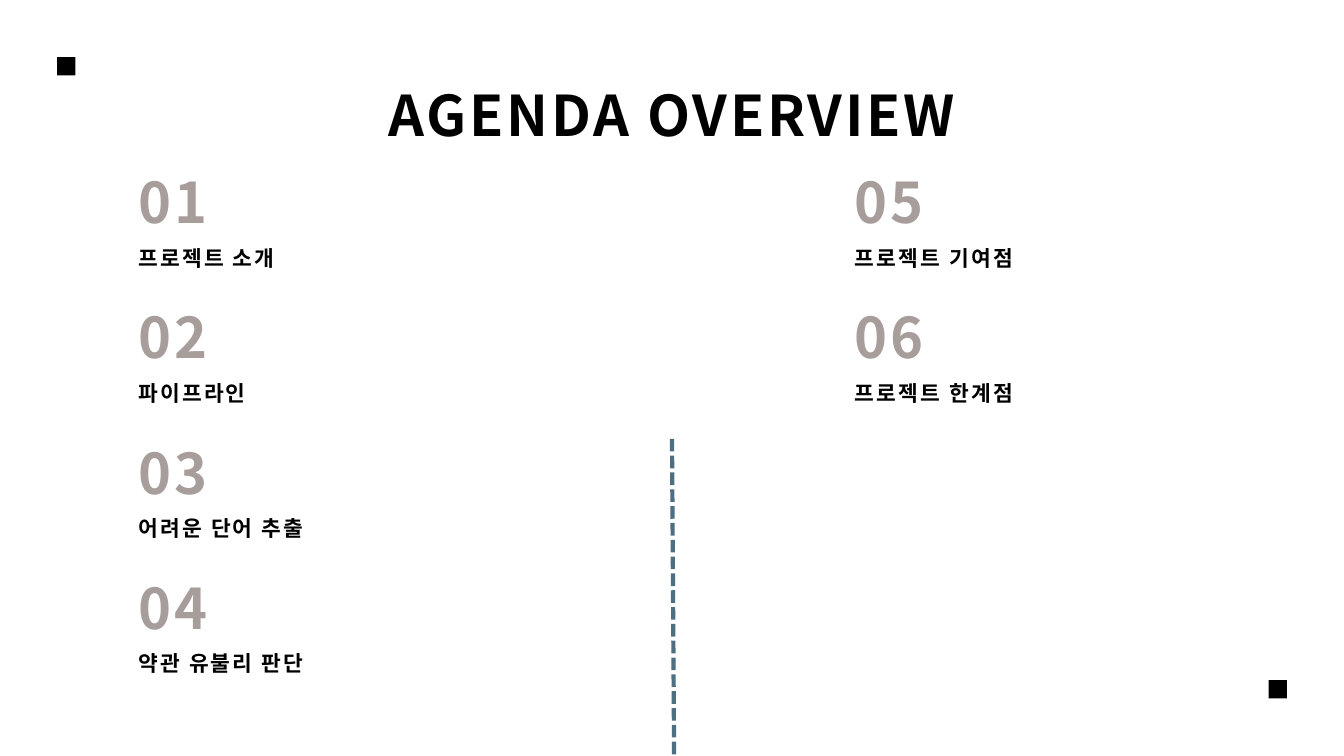
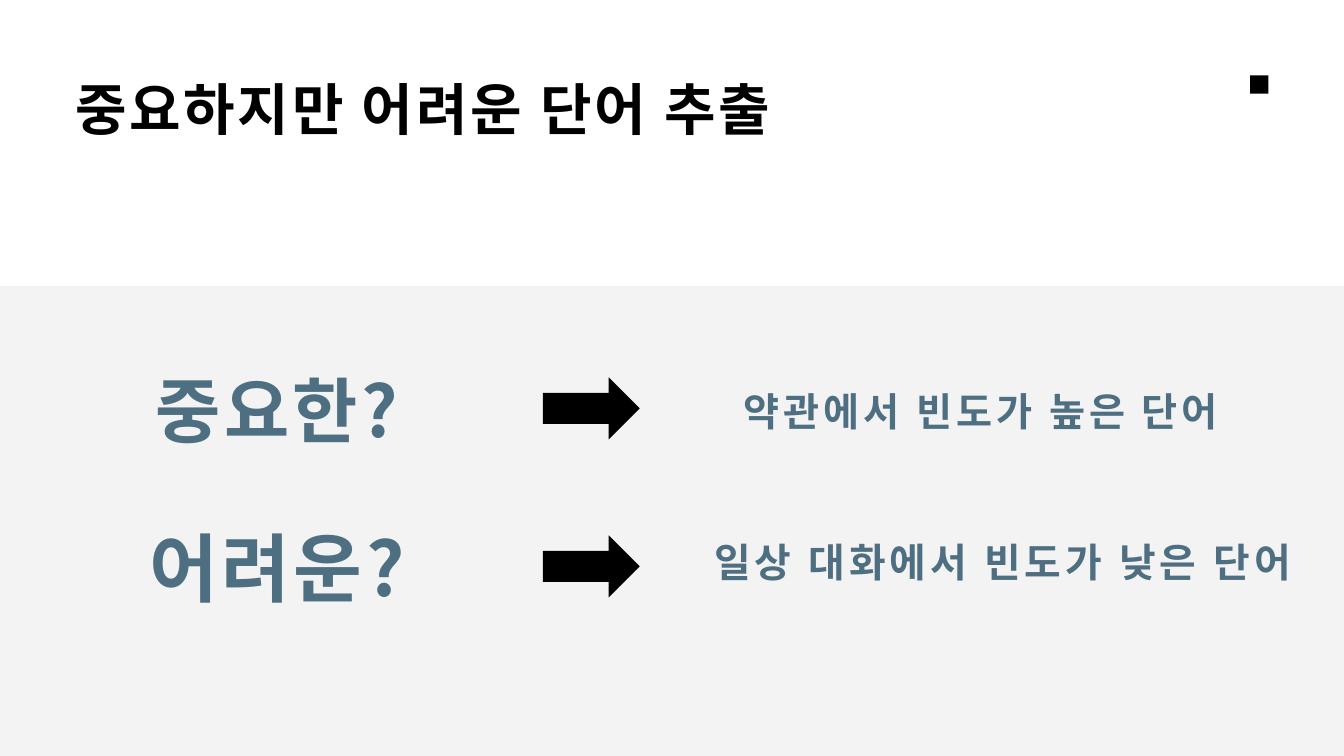
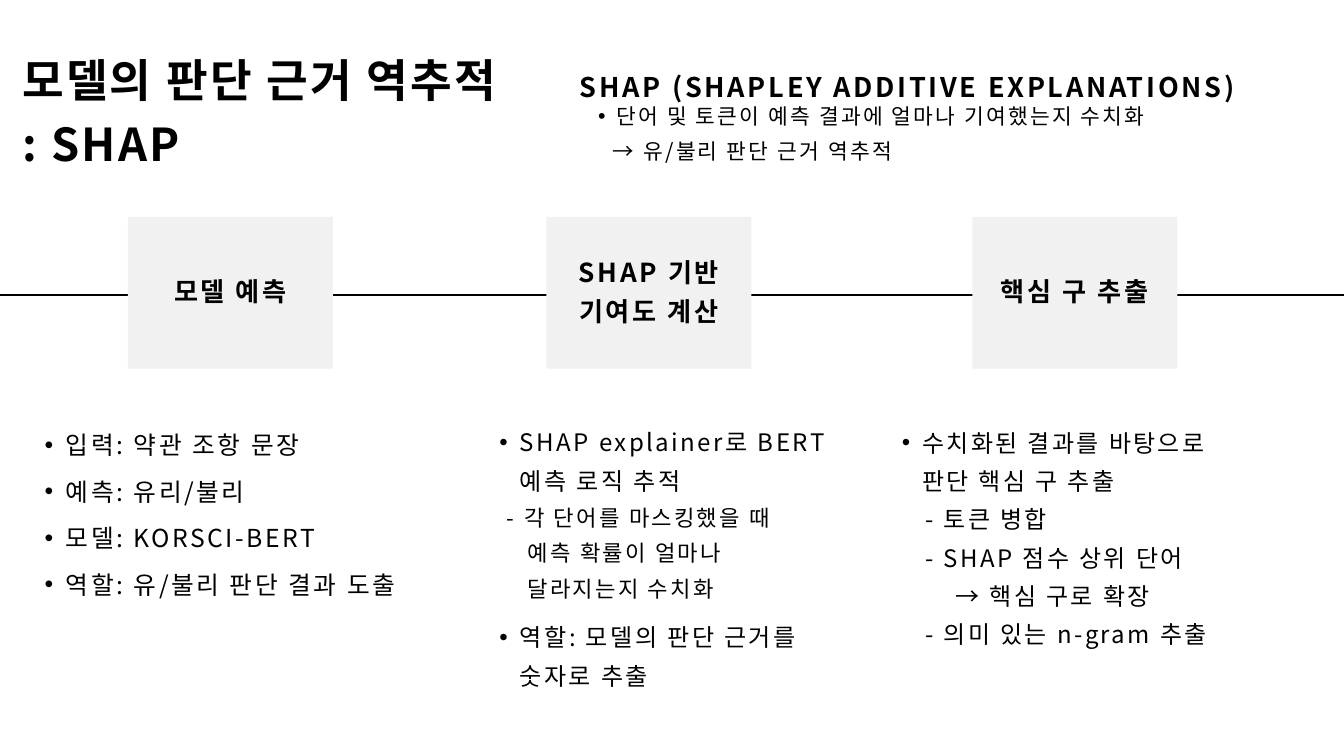
from dataclasses import dataclass

from lxml import etree
from pptx import Presentation
from pptx import util as u
from pptx.dml.color import RGBColor
from pptx.enum import dml, shapes, text
from pptx.oxml import ns


@dataclass(frozen=True)
class Theme:
    font: str = "Noto Sans CJK KR"
    black: str = "000000"
    taupe: str = "A79E9C"
    blue: str = "4E6E81"
    gray: str = "F2F1F1"
    title: float = 60
    subtitle: float = 48.5
    heading: float = 29
    step: float = 28
    label: float = 23
    lead: float = 1.4
    tight: float = 0.05
    wide: float = 0.1
    marker: float = 0.69


T = Theme()
WIDTH, HEIGHT = 50.8, 28.58

AGENDA = [
    ["프로젝트 소개", "파이프라인", "어려운 단어 추출", "약관 유불리 판단"],
    ["프로젝트 기여점", "프로젝트 한계점"],
]
AGENDA_LEFTS = (5.23, 32.31)
AGENDA_TOP, AGENDA_PITCH = 5.92, 5.11

CRITERIA = [
    dict(word="중요한?", word_at=(3.84, 13.34, 13.26, 3.43), word_size=76, arrow_top=14.27,
         meaning="약관에서 빈도가 높은 단어", at=(26.9, 14.35, 20.37, 1.9), size=42),
    dict(word="어려운?", word_at=(3.84, 19.18, 13.26, 3.61), word_size=80, arrow_top=20.24,
         meaning="일상 대화에서 빈도가 낮은 단어", at=(25.02, 20.02, 25.78, 1.93), size=42.7),
]

SHAP_NOTE = [
    ("단어 및 토큰이 예측 결과에 얼마나 기여했는지 수치화", dict(bullet=0.69)),
    ("→ 유/불리 판단 근거 역추적", dict(indent=1.25)),
]
STEPS = [
    dict(
        name=["모델 예측"], left=4.83, at=(0.89, 15.62, 15.62, 6.88), size=26.5, lead=1.88,
        points=[
            ("입력: 약관 조항 문장", dict(bullet=0.8)),
            ("예측: 유리/불리", dict(bullet=0.8)),
            ("모델: KORSCI-BERT", dict(bullet=0.8)),
            ("역할: 유/불리 판단 결과 도출", dict(bullet=0.8)),
        ]),
    dict(
        name=["SHAP 기반", "기여도 계산"], left=20.65, at=(18.11, 15.8, 13.67, 10.16),
        size=25.8, lead=1.6,
        points=[
            ("SHAP explainer로 BERT 예측 로직 추적", dict(bullet=0.77)),
            ("- 각 단어를 마스킹했을 때", dict(indent=1.05, size=23.8)),
            ("예측 확률이 얼마나", dict(indent=1.83, size=23.8)),
            ("달라지는지 수치화", dict(indent=1.83, size=23.8)),
            ("역할: 모델의 판단 근거를 숫자로 추출", dict(bullet=0.77, before=11.9)),
        ]),
    dict(
        name=["핵심 구 추출"], left=36.75, at=(33.32, 15.82, 14.15, 10.06), size=25.7, lead=1.6,
        points=[
            ("수치화된 결과를 바탕으로 판단 핵심 구 추출", dict(bullet=0.77)),
            ("- 토큰 병합", dict(indent=1.65)),
            ("- SHAP 점수 상위 단어", dict(indent=1.65)),
            ("→ 핵심 구로 확장", dict(indent=2.8)),
            ("- 의미 있는 n-gram 추출", dict(indent=1.65)),
        ]),
]


def cms(values):
    return [u.Cm(v) for v in values]


def format_paragraph(p, words, size=T.label, color=T.black, bold=False, track=T.wide,
                     lead=T.lead, align=None, bullet=0, indent=0, before=0):
    p.alignment = align
    p.line_spacing = u.Pt(round(size * lead, 1))
    if before:
        p.space_before = u.Pt(before)
    pPr = p._p.get_or_add_pPr()
    if bullet:
        pPr.set("marL", str(u.Cm(2 * bullet)))
        pPr.set("indent", str(-u.Cm(bullet)))
        etree.SubElement(pPr, ns.qn("a:buFont")).set("typeface", "Arial")
        etree.SubElement(pPr, ns.qn("a:buChar")).set("char", "•")
    elif indent:
        pPr.set("marL", str(u.Cm(indent)))
        pPr.set("indent", "0")
    r = p.add_run()
    r.text = words
    r.font.size = u.Pt(size)
    r.font.bold = bold
    r.font.color.rgb = RGBColor.from_string(color)
    r.font.name = T.font
    rPr = r._r.get_or_add_rPr()
    rPr.set("spc", str(round(size * track * 10) * 10))
    etree.SubElement(rPr, ns.qn("a:ea")).set("typeface", T.font)


def add_text(s, lines, at, inset=0, middle=False, **fmt):
    tf = s.shapes.add_textbox(*cms(at)).text_frame
    tf.word_wrap = True
    tf.margin_left = tf.margin_top = tf.margin_right = tf.margin_bottom = u.Cm(inset)
    if middle:
        tf.vertical_anchor = text.MSO_ANCHOR.MIDDLE
    else:
        tf.auto_size = text.MSO_AUTO_SIZE.SHAPE_TO_FIT_TEXT
    for i, line in enumerate([lines] if isinstance(lines, str) else lines):
        words, own = (line, {}) if isinstance(line, str) else line
        p = tf.add_paragraph() if i else tf.paragraphs[0]
        format_paragraph(p, words, **{**fmt, **own})


def add_block(s, at, color, kind=shapes.MSO_SHAPE.RECTANGLE, alpha=None):
    sp = s.shapes.add_shape(kind, *cms(at))
    sp.shadow.inherit = False
    sp.line.fill.background()
    sp.fill.solid()
    sp.fill.fore_color.rgb = RGBColor.from_string(color)
    if alpha:
        clr = sp._element.spPr.find(".//" + ns.qn("a:srgbClr"))
        etree.SubElement(clr, ns.qn("a:alpha")).set("val", str(alpha * 1000))
    return sp


def add_marker(s, left, top):
    add_block(s, (left, top, T.marker, T.marker), T.black)


def add_line(s, ends, color, width, dash=None):
    c = s.shapes.add_connector(shapes.MSO_CONNECTOR.STRAIGHT, *cms(ends))
    c.line.color.rgb = RGBColor.from_string(color)
    c.line.width = u.Pt(width)
    if dash:
        c.line.dash_style = dash
    etree.SubElement(c._element.spPr, ns.qn("a:effectLst"))


def add_title(s, lines, at, size=T.title, align=None):
    add_text(s, lines, at, size=size, bold=True, track=T.tight, align=align)


def build_agenda(s):
    add_title(s, "AGENDA OVERVIEW", (5.23, 2.62, 40.34, 2.74), align=text.PP_ALIGN.CENTER)
    number = 0
    for left, topics in zip(AGENDA_LEFTS, AGENDA):
        for row, topic in enumerate(topics):
            number += 1
            top = AGENDA_TOP + row * AGENDA_PITCH
            add_text(s, f"{number:02}", (left, top, 13.26, 2.74), size=T.title,
                     color=T.taupe, bold=True, track=T.tight)
            add_text(s, topic, (left, top + 3.17, 13.26, 1.04), bold=True)
    add_line(s, (25.4, 16.59, 25.48, HEIGHT), T.blue, 4.5, dml.MSO_LINE.SQUARE_DOT)
    add_marker(s, 47.95, 25.71)
    add_marker(s, 2.16, 2.16)


def build_criteria(s):
    add_block(s, (0, 10.8, WIDTH, HEIGHT - 10.8), T.gray, alpha=80)
    add_title(s, "중요하지만 어려운 단어 추출", (2.84, 2.41, 43.13, 2.72))
    style = dict(color=T.blue, bold=True, align=text.PP_ALIGN.CENTER)
    for c in CRITERIA:
        add_text(s, c["word"], c["word_at"], size=c["word_size"], track=T.tight, **style)
        add_block(s, (20.52, c["arrow_top"], 3.66, 2.34), T.black,
                  shapes.MSO_SHAPE.RIGHT_ARROW)
        add_text(s, c["meaning"], c["at"], size=c["size"], **style)
    add_marker(s, 47.25, 2.85)


def build_shap(s):
    add_text(s, "SHAP (SHAPLEY ADDITIVE EXPLANATIONS)", (21.92, 2.46, 26.57, 1.32),
             size=T.heading, bold=True)
    add_title(s, ["모델의 판단 근거 역추적", ": SHAP"], (0.84, 1.65, 20.37, 4.62), T.subtitle)
    add_text(s, SHAP_NOTE, (21.92, 3.58, 26.57, 2.54), lead=1.6)
    add_line(s, (0, 11.15, WIDTH, 11.15), T.black, 2.25)
    for step in STEPS:
        add_block(s, (step["left"], 8.2, 7.75, 5.74), T.gray)
        add_text(s, step["name"], (step["left"], 7.8, 7.75, 6.14), inset=0.15, middle=True,
                 size=T.step, lead=1.5, bold=True, align=text.PP_ALIGN.CENTER)
        add_text(s, step["points"], step["at"], size=step["size"], lead=step["lead"])


def main():
    prs = Presentation()
    prs.slide_width, prs.slide_height = cms((WIDTH, HEIGHT))
    for build in (build_agenda, build_criteria, build_shap):
        build(prs.slides.add_slide(prs.slide_layouts[6]))
    prs.save("out.pptx")


if __name__ == "__main__":
    main()
